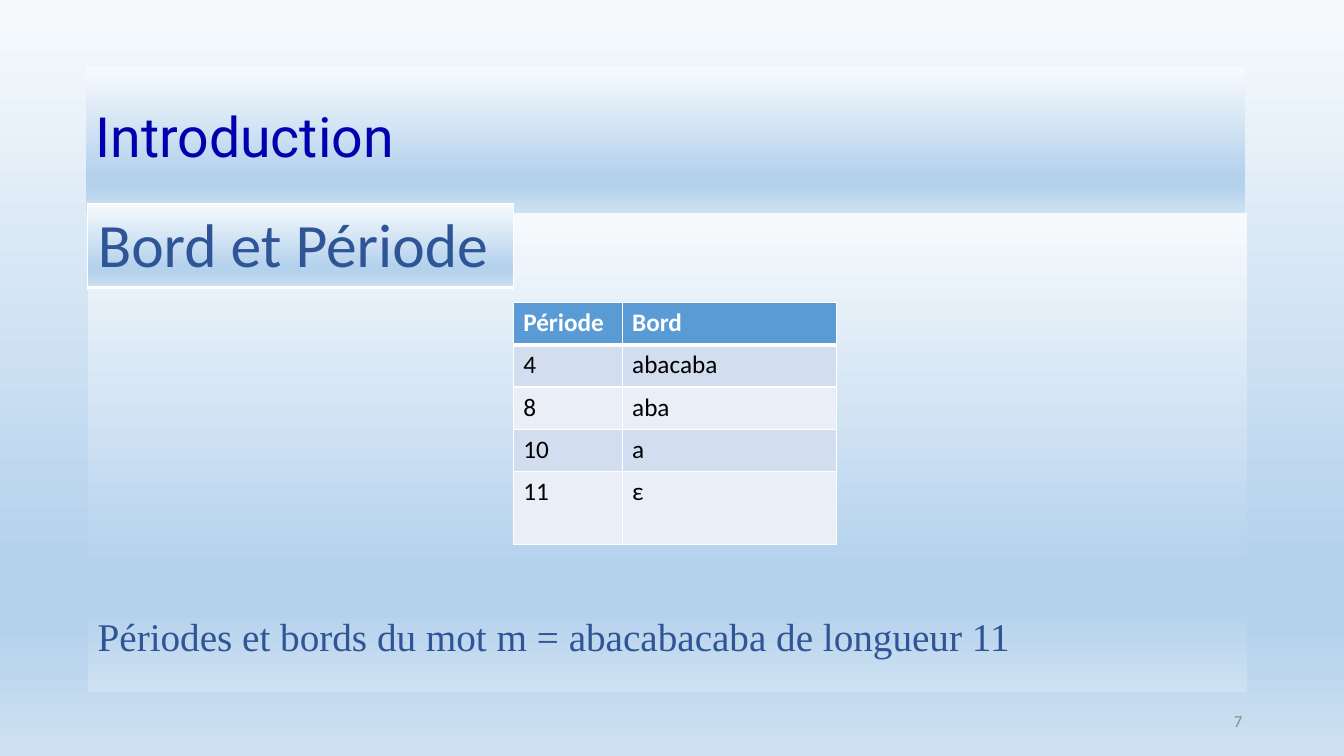
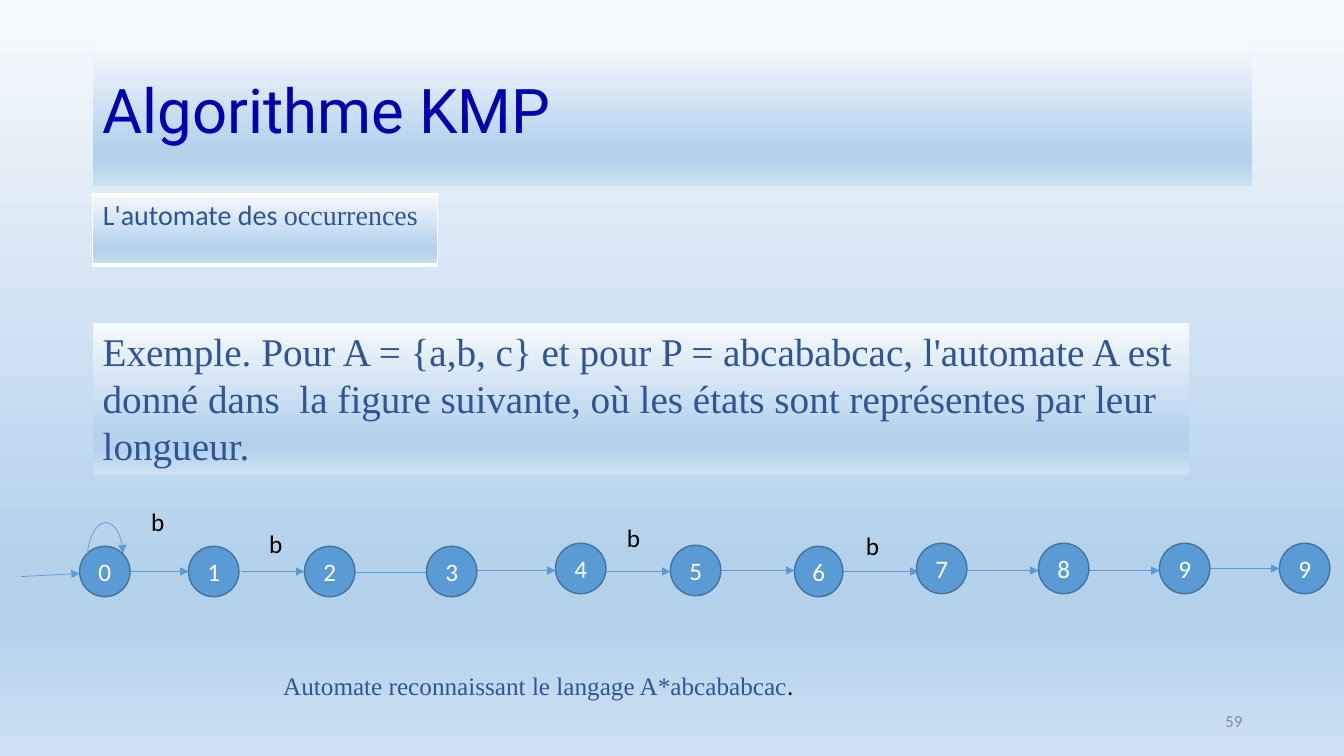
from dataclasses import dataclass
from typing import Optional

from lxml import etree
from pptx import Presentation
from pptx import util as u
from pptx.dml.color import RGBColor
from pptx.enum import shapes, text
from pptx.oxml import ns

COLORS = {
    "title": "0000AF",
    "body": "2F5597",
    "accent": "5B9BD5",
    "outline": "43739E",
    "white": "FFFFFF",
    "black": "000000",
    "number": "8C8C8C",
    "odd_row": "D2DEEF",
    "even_row": "EAEFF7",
}
GRADIENT = ((0, "F7FAFD"), (74, "B5D2EC"), (83, "B5D2EC"), (100, "CEE1F2"))
SANS, TITLE_FONT, SERIF = "Calibri", "Roboto", "Times New Roman"
STATE_SIZE = 0.5


@dataclass(frozen=True)
class Box:
    left: float
    top: float
    width: float
    height: float

    def lengths(self) -> list:
        return [u.Inches(v) for v in (self.left, self.top, self.width, self.height)]


@dataclass(frozen=True)
class Run:
    text: str
    size: float
    font: str = SANS
    color: str = "body"
    bold: bool = False


@dataclass(frozen=True)
class State:
    label: str
    left: float
    top: float
    width: float = STATE_SIZE


@dataclass(frozen=True)
class Arrow:
    x1: float
    y1: float
    x2: float
    y2: float


# Shared drawing functions
def rgb(name: str) -> RGBColor:
    return RGBColor.from_string(COLORS[name])


def add_element(parent, tag: str, **attributes: str):
    return etree.SubElement(parent, ns.qn(tag), attributes)


def paint_gradient(fill, owner) -> None:
    """Give a fill the vertical gradient; owner is the element that holds it."""
    fill.gradient()
    fill.gradient_angle = 270
    stops = owner.xpath(".//a:gsLst")[0]
    for stop in list(stops):
        stops.remove(stop)
    for position, color in GRADIENT:
        stop = add_element(stops, "a:gs", pos=str(position * 1000))
        add_element(stop, "a:srgbClr", val=color)


def write(frame, runs: list, align=text.PP_ALIGN.LEFT,
          anchor=text.MSO_ANCHOR.TOP, spacing: Optional[float] = None) -> None:
    frame.word_wrap = True
    frame.vertical_anchor = anchor
    paragraph = frame.paragraphs[0]
    paragraph.alignment = align
    if spacing:
        paragraph.line_spacing = spacing
    for item in runs:
        run = paragraph.add_run()
        run.text = item.text
        run.font.size = u.Pt(item.size)
        run.font.name = item.font
        run.font.bold = item.bold
        run.font.color.rgb = rgb(item.color)


def add_text(slide, box: Box, runs: list, **style) -> None:
    write(slide.shapes.add_textbox(*box.lengths()).text_frame, runs, **style)


def add_panel(slide, box: Box, runs: list, **style):
    shape = slide.shapes.add_shape(shapes.MSO_SHAPE.RECTANGLE, *box.lengths())
    shape.shadow.inherit = False
    shape.line.fill.background()
    paint_gradient(shape.fill, shape._element)
    write(shape.text_frame, runs, **style)
    return shape


def border_cell(cell, bottom: float = 1) -> None:
    properties = cell._tc.get_or_add_tcPr()
    for index, side in enumerate("LRTB"):
        width = bottom if side == "B" else 1
        line = etree.Element(ns.qn(f"a:ln{side}"), {"w": str(u.Pt(width))})
        solid = add_element(line, "a:solidFill")
        add_element(solid, "a:srgbClr", val=COLORS["white"])
        properties.insert(index, line)


def add_subtitle(slide, box: Box, runs: list) -> None:
    """Draw the subtitle as a one-cell table."""
    table = slide.shapes.add_table(1, 1, *box.lengths()).table
    cell = table.cell(0, 0)
    paint_gradient(cell.fill, cell._tc)
    border_cell(cell, bottom=3)
    write(cell.text_frame, runs)


def add_slide(presentation, title: Run, title_box: Box, number: str):
    slide = presentation.slides.add_slide(presentation.slide_layouts[6])
    paint_gradient(slide.background.fill, slide._element)
    add_panel(slide, title_box, [title], anchor=text.MSO_ANCHOR.MIDDLE, spacing=0.9)
    add_text(slide, Box(9.42, 6.95, 3, 0.4), [Run(number, 12, color="number")],
             align=text.PP_ALIGN.RIGHT, anchor=text.MSO_ANCHOR.MIDDLE)
    return slide


# Automaton parts
def add_state(slide, state: State) -> None:
    box = Box(state.left, state.top, state.width, STATE_SIZE)
    shape = slide.shapes.add_shape(shapes.MSO_SHAPE.FLOWCHART_CONNECTOR, *box.lengths())
    shape.shadow.inherit = False
    shape.fill.solid()
    shape.fill.fore_color.rgb = rgb("accent")
    shape.line.color.rgb = rgb("outline")
    shape.line.width = u.Pt(1)
    frame = shape.text_frame
    frame.margin_left = frame.margin_right = frame.margin_top = frame.margin_bottom = 0
    write(frame, [Run(state.label, 18, color="white")],
          align=text.PP_ALIGN.CENTER, anchor=text.MSO_ANCHOR.MIDDLE)


def add_arrow(slide, arrow: Arrow, kind=shapes.MSO_CONNECTOR.STRAIGHT):
    ends = [u.Inches(v) for v in (arrow.x1, arrow.y1, arrow.x2, arrow.y2)]
    connector = slide.shapes.add_connector(kind, *ends)
    connector.line.color.rgb = rgb("accent")
    connector.line.width = u.Pt(0.5)
    add_element(connector.line._get_or_add_ln(), "a:tailEnd", type="triangle")
    add_element(connector._element.spPr, "a:effectLst")
    return connector


def add_loop(slide) -> None:
    """Turn a curved connector a quarter so that it arches over state 0."""
    loop = add_arrow(slide, Arrow(1.05, 5.67, 1.04, 5.32), shapes.MSO_CONNECTOR.CURVE)
    properties = loop._element.spPr
    properties.find(ns.qn("a:xfrm")).set("rot", "5400000")
    geometry = properties.find(ns.qn("a:prstGeom"))
    for old in list(geometry):
        geometry.remove(old)
    adjustments = add_element(geometry, "a:avLst")
    add_element(adjustments, "a:gd", name="adj1", fmla="val 3200000")


# Slides
def build_introduction(presentation) -> None:
    slide = add_slide(presentation, Run("Introduction", 39.6, TITLE_FONT, "title"),
                      Box(0.85, 0.66, 11.5, 1.45), "7")
    body = add_panel(
        slide, Box(0.87, 2.11, 11.5, 4.76),
        [Run("Périodes et bords du mot m = abacabacaba de longueur 11", 28, SERIF)],
        anchor=text.MSO_ANCHOR.BOTTOM, spacing=0.9)
    body.text_frame.margin_bottom = u.Inches(0.32)
    add_subtitle(slide, Box(0.87, 2.02, 4.22, 0.83), [Run("Bord et Période", 44)])

    # Table of periods and borders
    rows = [("Période", "Bord"), ("4", "abacaba"), ("8", "aba"), ("10", "a"), ("11", "ε")]
    table = slide.shapes.add_table(len(rows), 2, *Box(5.09, 3, 3.21, 2.4).lengths()).table
    for column, width in zip(table.columns, (1.08, 2.13)):
        column.width = u.Inches(width)
    for r, values in enumerate(rows):
        table.rows[r].height = u.Inches(0.72 if r == len(rows) - 1 else 0.42)
        header = r == 0
        fill = "accent" if header else "odd_row" if r % 2 else "even_row"
        for c, value in enumerate(values):
            cell = table.cell(r, c)
            cell.fill.solid()
            cell.fill.fore_color.rgb = rgb(fill)
            border_cell(cell, bottom=3 if header else 1)
            color = "white" if header else "black"
            write(cell.text_frame, [Run(value, 18, color=color, bold=header)])


def build_automaton(presentation) -> None:
    slide = add_slide(presentation, Run("Algorithme KMP", 44, TITLE_FONT, "title"),
                      Box(0.92, 0.4, 11.5, 1.45), "59")
    add_subtitle(slide, Box(0.92, 1.92, 3.42, 0.71),
                 [Run("L'automate des ", 20), Run("occurrences", 20, SERIF)])
    add_panel(slide, Box(0.92, 3.2, 10.87, 1.51), [Run(
        "Exemple. Pour A = {a,b, c} et pour P = abcababcac, l'automate A est donné "
        "dans  la figure suivante, où les états sont représentes par leur longueur.",
        28, SERIF)])

    # States and transitions
    states = [
        State("0", 0.79, 5.42), State("1", 1.87, 5.42), State("2", 3.02, 5.42),
        State("3", 4.23, 5.42), State("4", 5.51, 5.39), State("5", 6.65, 5.41),
        State("6", 7.88, 5.42, 0.48), State("7", 9.09, 5.39), State("8", 10.3, 5.39),
        State("9", 11.5, 5.39), State("9", 12.69, 5.39),
    ]
    arrows = [
        Arrow(0.21, 5.72, 0.79, 5.69), Arrow(1.29, 5.67, 1.87, 5.67),
        Arrow(2.39, 5.67, 3.02, 5.67), Arrow(3.41, 5.68, 4.34, 5.68),
        Arrow(4.59, 5.66, 5.51, 5.66), Arrow(5.73, 5.67, 6.65, 5.67),
        Arrow(6.96, 5.66, 7.88, 5.66), Arrow(8.19, 5.67, 9.11, 5.67),
        Arrow(9.38, 5.66, 10.3, 5.66), Arrow(10.57, 5.66, 11.5, 5.66),
        Arrow(12, 5.64, 12.69, 5.64),
    ]
    # Each arrow lies beneath the states it joins
    for arrow in arrows:
        add_arrow(slide, arrow)
    for state in states:
        add_state(slide, state)
    add_loop(slide)

    # Transition labels and caption
    for left, top in ((1.4, 4.97), (2.57, 5.19), (6.12, 5.13), (8.49, 5.21)):
        add_text(slide, Box(left, top, 0.34, 0.4), [Run("b", 18, color="black")])
    add_text(slide, Box(2.71, 6.6, 5.39, 0.4),
             [Run("Automate reconnaissant le langage A*abcababcac", 18, SERIF),
              Run(".", 18, color="black")])


def main() -> None:
    presentation = Presentation()
    presentation.slide_width = u.Inches(13.33)
    presentation.slide_height = u.Inches(7.5)
    build_introduction(presentation)
    build_automaton(presentation)
    presentation.save("out.pptx")


if __name__ == "__main__":
    main()
